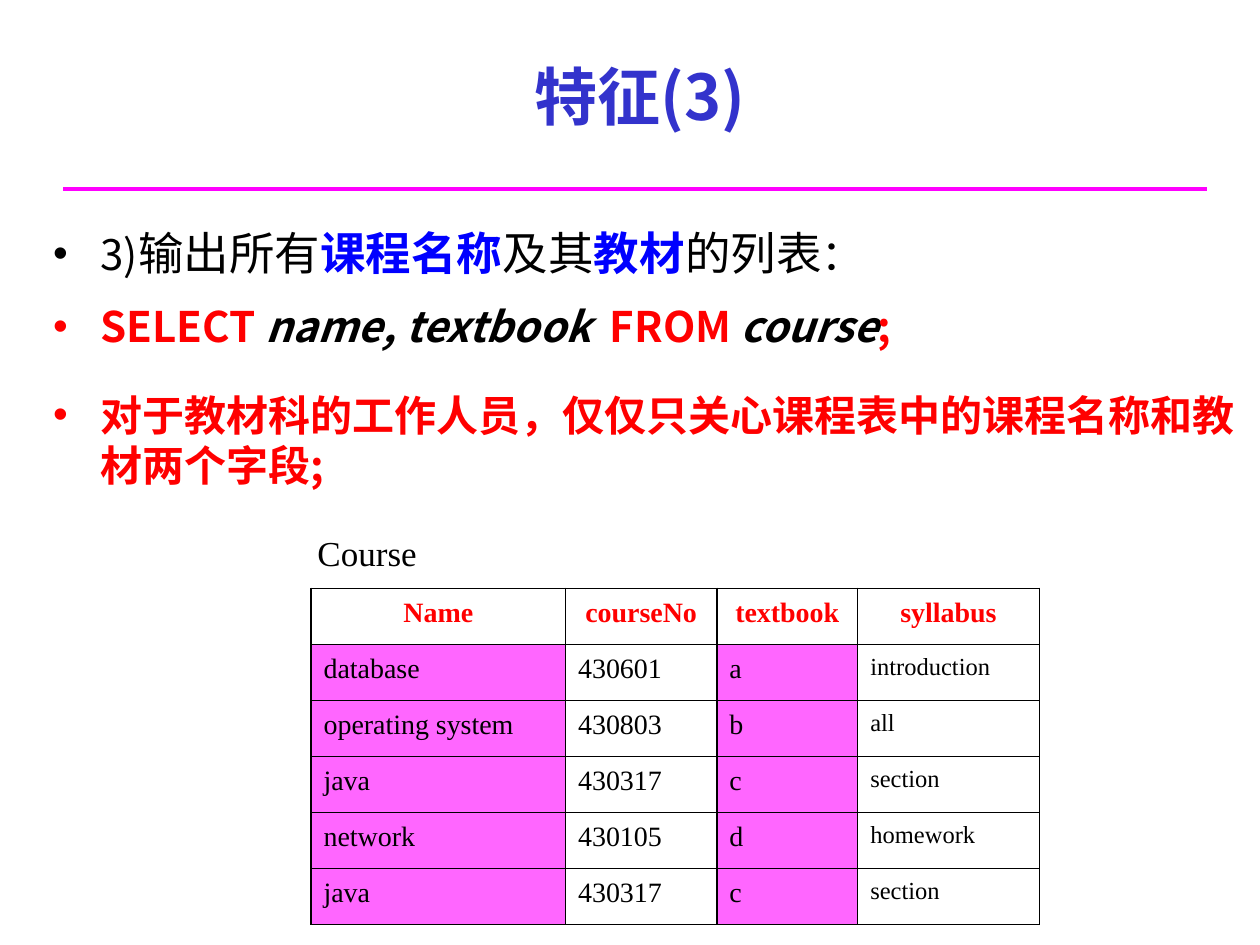
import pptx
import pptx.util
import pptx.dml.color
import pptx.enum.shapes
import pptx.enum.text
import pptx.oxml
import pptx.oxml.ns
from lxml import etree

Cm = pptx.util.Cm
Pt = pptx.util.Pt
qn = pptx.oxml.ns.qn
ALIGN = pptx.enum.text.PP_ALIGN
ANCHOR = pptx.enum.text.MSO_ANCHOR

COLORS = {
    "title": "3333CC",
    "rule": "FF00FF",
    "black": "000000",
    "blue": "0000FF",
    "red": "FF0000",
    "selected": "FF66FF",
}
SANS = "Noto Sans CJK SC"
SERIF = "Times New Roman"


def style(span, size, color, font=SANS, bold=False, italic=False):
    """Format a run, using the same typeface for Latin and East Asian text."""
    span.font.size = Pt(size)
    span.font.name = font
    span.font.bold = bold
    span.font.italic = italic
    span.font.color.rgb = pptx.dml.color.RGBColor.from_string(COLORS[color])
    east_asian = etree.Element(qn("a:ea"), typeface=font)
    span.font._element.find(qn("a:latin")).addnext(east_asian)


def add_text_box(left, top, width, height, anchor):
    box = page.shapes.add_textbox(Cm(left), Cm(top), Cm(width), Cm(height))
    box.text_frame.word_wrap = True
    box.text_frame.vertical_anchor = anchor
    return box.text_frame


deck = pptx.Presentation()
deck.slide_width = Cm(25.4)
deck.slide_height = Cm(19.05)
page = deck.slides.add_slide(deck.slide_layouts[6])

# Title and the rule below it
rule = page.shapes.add_connector(
    pptx.enum.shapes.MSO_CONNECTOR.STRAIGHT, Cm(1.27), Cm(3.81), Cm(24.33), Cm(3.81))
rule.line.width = Pt(2)
rule.line.color.rgb = pptx.dml.color.RGBColor.from_string(COLORS["rule"])
etree.SubElement(rule._element.spPr, qn("a:effectLst"))

title = add_text_box(2.11, 0.66, 21.59, 2.54, ANCHOR.MIDDLE)
title.text = "特征(3)"
title.paragraphs[0].alignment = ALIGN.CENTER
style(title.paragraphs[0].runs[0], 36, "title", bold=True)

# Bullets: space before, then runs of text, size, colour, bold, italic
bullets = [
    (0, [("3)", 24, "black", False, False),
         ("输出所有", 26, "black", False, False),
         ("课程名称", 26, "blue", True, False),
         ("及其", 26, "black", False, False),
         ("教材", 26, "blue", True, False),
         ("的列表", 26, "black", False, False),
         ("：", 24, "black", False, False)]),
    (12, [("SELECT ", 24, "red", True, False),
          ("name, textbook", 24, "black", True, True),
          ("  FROM ", 24, "red", True, False),
          ("course", 24, "black", True, True),
          (";", 24, "red", True, False)]),
    (21.6, [("对于教材科的工作人员，仅仅只关心课程表中的课程名称和教材两个字段;",
             24, "red", True, False)]),
]
body = add_text_box(1.07, 4.42, 24.33, 6.99, ANCHOR.TOP)
body.margin_left = body.margin_right = 0
for index, (space, spans) in enumerate(bullets):
    paragraph = body.paragraphs[0] if index == 0 else body.add_paragraph()
    properties = paragraph._p.get_or_add_pPr()
    properties.set("marL", str(Cm(0.96)))
    properties.set("indent", str(-Cm(0.96)))
    etree.SubElement(properties, qn("a:buFont"), typeface="Arial")
    etree.SubElement(properties, qn("a:buChar"), char="•")
    if space:
        paragraph.space_before = Pt(space)
    for text, size, color, bold, italic in spans:
        span = paragraph.add_run()
        span.text = text
        style(span, size, color, bold=bold, italic=italic)

# Course table
caption = add_text_box(6.15, 10.59, 4.65, 1.09, ANCHOR.MIDDLE)
caption.text = "Course"
style(caption.paragraphs[0].runs[0], 20, "black", SERIF)

rows = [
    ("Name", "courseNo", "textbook", "syllabus"),
    ("database", "430601", "a", "introduction"),
    ("operating system", "430803", "b", "all"),
    ("java", "430317", "c", "section"),
    ("network", "430105", "d", "homework"),
    ("java", "430317", "c", "section"),
]
widths = [5.13, 3.05, 2.84, 3.66]
row_height = 1.13
selected_columns = (0, 2)
table = page.shapes.add_table(
    len(rows), len(widths), Cm(6.27), Cm(11.86),
    Cm(sum(widths)), Cm(row_height * len(rows))).table
table.first_row = False
table.horz_banding = False
for column, width in zip(table.columns, widths):
    column.width = Cm(width)

for row_index, values in enumerate(rows):
    table.rows[row_index].height = Cm(row_height)
    header = row_index == 0
    for column_index, value in enumerate(values):
        cell = table.cell(row_index, column_index)
        cell.text = value
        paragraph = cell.text_frame.paragraphs[0]
        paragraph.line_spacing = 1.1
        paragraph.alignment = ALIGN.CENTER if header else ALIGN.LEFT
        size = 14 if column_index == 3 and not header else 16
        style(paragraph.runs[0], size, "red" if header else "black", SERIF, bold=header)

        cell_properties = cell._tc.get_or_add_tcPr()
        for side in ("lnL", "lnR", "lnT", "lnB"):
            border = etree.SubElement(cell_properties, qn("a:" + side), w=str(Pt(1)))
            fill = etree.SubElement(border, qn("a:solidFill"))
            etree.SubElement(fill, qn("a:srgbClr"), val=COLORS["black"])
        if column_index in selected_columns and not header:
            cell.fill.solid()
            cell.fill.fore_color.rgb = pptx.dml.color.RGBColor.from_string(COLORS["selected"])
        else:
            cell.fill.background()

deck.save("out.pptx")
